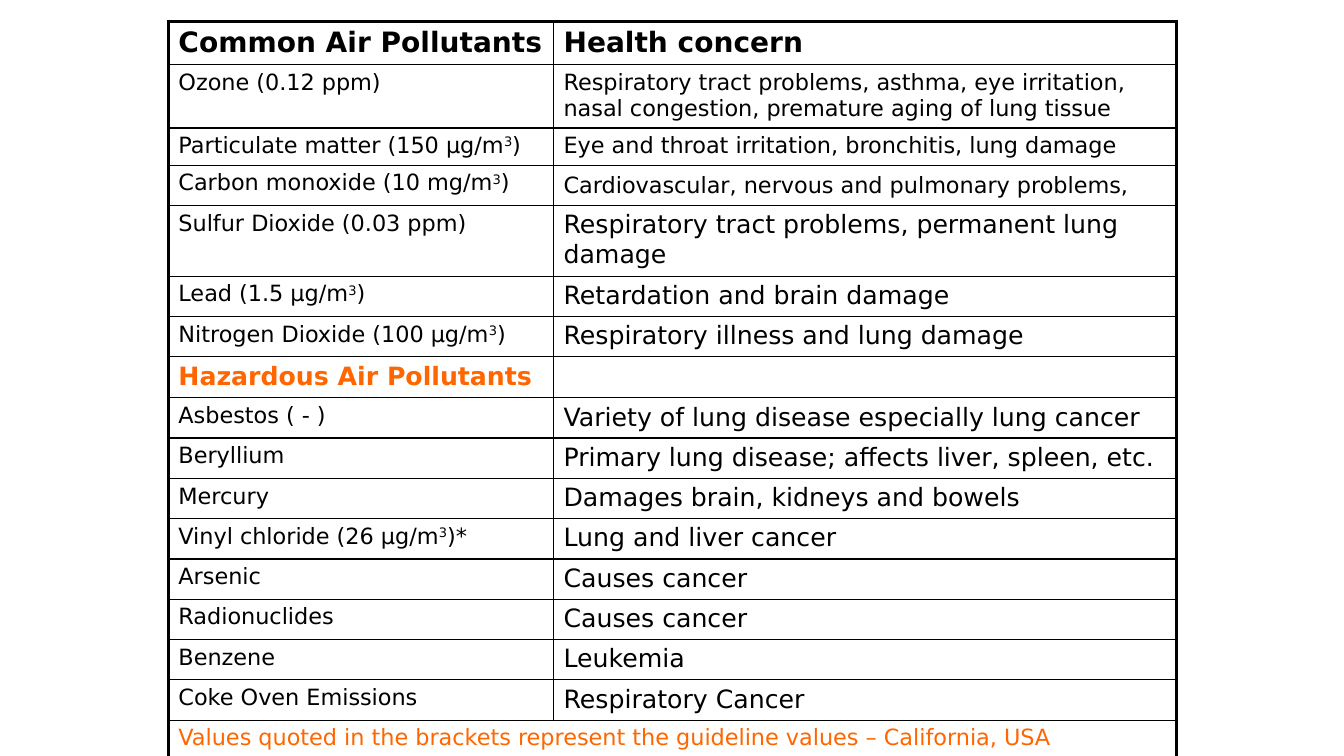
import dataclasses

import lxml.etree
import pptx
import pptx.dml.color
import pptx.oxml.ns
import pptx.table
import pptx.util

Inches = pptx.util.Inches
Pt = pptx.util.Pt
qn = pptx.oxml.ns.qn

COLORS = {"black": "000000", "orange": "FF6600"}
FONT = "DejaVu Sans"
THIN, THICK = 1, 2.25


@dataclasses.dataclass
class Row:
    left: str
    right: str
    height: float = 0.4
    sizes: tuple[int, int] = (16, 18)
    bold: bool = False
    color: str = "black"
    drop: float = 0.05  # top inset of the right cell


# A caret stands before a raised digit
ROWS = [
    Row("Common Air Pollutants", "Health concern", 0.43, (20, 20), bold=True),
    Row("Ozone (0.12 ppm)",
        "Respiratory tract problems, asthma, eye irritation, "
        "nasal congestion, premature aging of lung tissue", 0.63, (16, 16)),
    Row("Particulate matter (150 µg/m^3)",
        "Eye and throat irritation, bronchitis, lung damage", 0.37, (16, 16)),
    Row("Carbon monoxide (10 mg/m^3)",
        "Cardiovascular, nervous and pulmonary problems,", 0.4, (16, 16), drop=0.08),
    Row("Sulfur Dioxide (0.03 ppm)",
        "Respiratory tract problems, permanent lung damage", 0.7),
    Row("Lead (1.5 µg/m^3)", "Retardation and brain damage"),
    Row("Nitrogen Dioxide (100 µg/m^3)", "Respiratory illness and lung damage"),
    Row("Hazardous Air Pollutants", "", sizes=(18, 18), bold=True, color="orange"),
    Row("Asbestos ( - )", "Variety of lung disease especially lung cancer"),
    Row("Beryllium", "Primary lung disease; affects liver, spleen, etc."),
    Row("Mercury", "Damages brain, kidneys and bowels"),
    Row("Vinyl chloride (26 µg/m^3)*", "Lung and liver cancer"),
    Row("Arsenic", "Causes cancer"),
    Row("Radionuclides", "Causes cancer"),
    Row("Benzene", "Leukemia"),
    Row("Coke Oven Emissions", "Respiratory Cancer"),
    Row("Values quoted in the brackets represent the guideline values – California, USA",
        "", 0.37, (16, 16), color="orange"),
]
WIDTHS = (3.82, 6.18)


def write(cell: pptx.table._Cell, text: str, *, size: int, bold: bool = False,
          color: str = "black") -> None:
    """Fill a cell with text, raising each digit that follows a caret."""
    para = cell.text_frame.paragraphs[0]
    para.font.size = Pt(size)
    head, mark, tail = text.partition("^")
    for part, raised in ((head, False), (tail[:1], True), (tail[1:], False)):
        if not part:
            continue
        run = para.add_run()
        run.text = part
        run.font.name = FONT
        run.font.size = Pt(size)
        run.font.bold = bold
        run.font.color.rgb = pptx.dml.color.RGBColor.from_string(COLORS[color])
        if raised:
            run._r.get_or_add_rPr().set("baseline", "30000")


def frame(cell: pptx.table._Cell, sides: dict[str, float]) -> None:
    """Draw the cell borders, given as side letter to width in points."""
    props = cell._tc.get_or_add_tcPr()
    for side, width in sides.items():
        line = lxml.etree.SubElement(props, qn(f"a:ln{side}"), w=str(Pt(width)))
        fill = lxml.etree.SubElement(line, qn("a:solidFill"))
        lxml.etree.SubElement(fill, qn("a:srgbClr"), val=COLORS["black"])
    cell.fill.background()


def main() -> None:
    deck = pptx.Presentation()
    deck.slide_width, deck.slide_height = Inches(13.33), Inches(7.5)
    slide = deck.slides.add_slide(deck.slide_layouts[6])

    # Table grid
    high = sum(row.height for row in ROWS)
    table = slide.shapes.add_table(len(ROWS), len(WIDTHS), Inches(1.67), Inches(0.21),
                                   Inches(sum(WIDTHS)), Inches(high)).table
    table.first_row = table.horz_banding = False
    for col, width in zip(table.columns, WIDTHS):
        col.width = Inches(width)

    # Cells
    last = len(ROWS) - 1
    for r, row in enumerate(ROWS):
        table.rows[r].height = Inches(row.height)
        for c, text in enumerate((row.left, row.right)):
            cell = table.cell(r, c)
            cell.margin_left = cell.margin_right = Inches(0.1)
            cell.margin_top = Inches(row.drop if c else 0.05)
            cell.margin_bottom = Inches(0.05)
            write(cell, text, size=row.sizes[c], bold=row.bold, color=row.color)
            frame(cell, {
                "L": THICK if c == 0 else THIN,
                "R": THICK if c == 1 or r == last else THIN,
                "T": THICK if r == 0 else THIN,
                "B": THICK if r == last else THIN,
            })

    # Footnote across both columns
    table.cell(last, 0).merge(table.cell(last, 1))
    deck.save("out.pptx")


if __name__ == "__main__":
    main()
